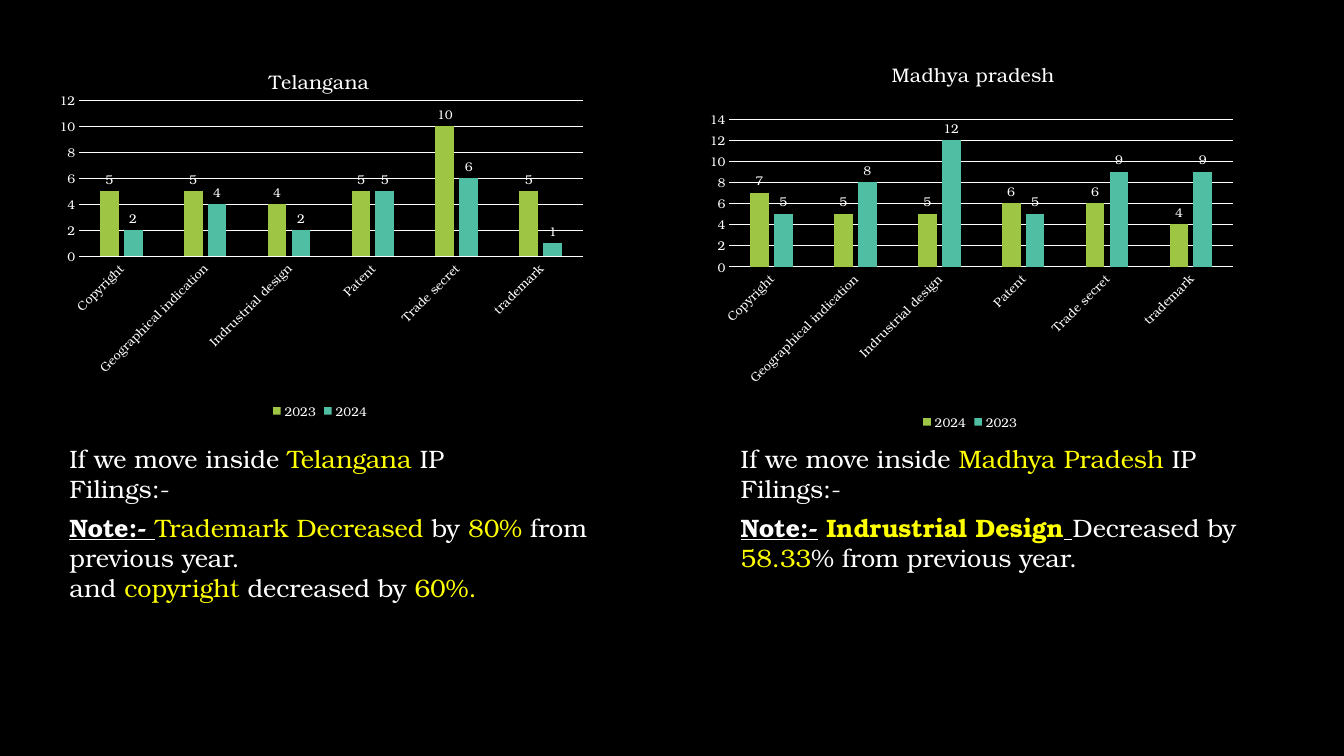
from pptx import Presentation
from pptx.chart.data import CategoryChartData
from pptx.dml.color import RGBColor
from pptx.enum.chart import XL_CHART_TYPE, XL_LABEL_POSITION, XL_LEGEND_POSITION, XL_TICK_MARK
from pptx.enum.text import MSO_AUTO_SIZE
from pptx.oxml import parse_xml
from pptx.oxml.ns import nsdecls
from pptx.util import Pt

FACE = "TeX Gyre Bonum"
HUES = {"back": "000000", "text": "FFFFFF", "key": "FFFF00",
        "first": "9EC544", "next": "50BEA3"}
KINDS = ["Copyright", "Geographical indication", "Indrustrial design",
         "Patent", "Trade secret", "trademark"]
LOOKS = {
    "plain": {},
    "key": {"hue": "key"},
    "note": {"bold": True, "underline": True},
    "bold": {"bold": True},
    "keybold": {"hue": "key", "bold": True},
}


def put(item, values):
    for name, value in values.items():
        setattr(item, name, value)


def tint(name):
    return RGBColor.from_string(HUES[name])


def style(font, size, hue="text", **more):
    put(font, {"name": FACE, "size": Pt(size), "bold": False, **more})
    font.color.rgb = tint(hue)


def paint(fill, hue):
    fill.solid()
    fill.fore_color.rgb = tint(hue)


def rule(line):
    line.width = Pt(0.75)
    line.color.rgb = tint("text")


def place(node, spot, inner=False):
    for old in node.findall(node.tag.split("}")[0] + "}layout"):
        node.remove(old)
    kind = '<c:layoutTarget val="inner"/>' if inner else ""
    modes = "".join(f'<c:{key}Mode val="edge"/>' for key in ("x", "y"))
    sizes = "".join(f'<c:{key} val="{val}"/>' for key, val in zip("xywh", spot))
    return parse_xml(f'<c:layout {nsdecls("c")}><c:manualLayout>{kind}{modes}{sizes}'
                     '</c:manualLayout></c:layout>')


def add_title(chart, text, spot):
    title = chart.chart_title
    title.include_in_layout = False
    run = title.text_frame.paragraphs[0].add_run()
    run.text = text
    style(run.font, 14)
    node = title._element
    layout = place(node, spot)
    node.find(node.tag.split("}")[0] + "}tx").addnext(layout)


def add_axes(chart, top):
    kinds, scale = chart.category_axis, chart.value_axis
    for axis in (kinds, scale):
        put(axis, {"major_tick_mark": XL_TICK_MARK.NONE,
                   "minor_tick_mark": XL_TICK_MARK.NONE})
        style(axis.tick_labels.font, 9)
    rule(kinds.format.line)
    kinds._element.txPr.bodyPr.set("rot", "-2700000")
    put(scale, {"minimum_scale": 0, "maximum_scale": top, "major_unit": 2,
                "has_major_gridlines": True})
    scale.format.line.fill.background()
    rule(scale.major_gridlines.format.line)


def add_bars(slide, box, title, spot, area, top, rows):
    data = CategoryChartData()
    data.categories = KINDS
    for name, values in rows:
        data.add_series(name, values)
    frame = slide.shapes.add_chart(XL_CHART_TYPE.COLUMN_CLUSTERED, *map(Pt, box), data)
    chart = frame.chart
    put(chart, {"has_title": True, "has_legend": True})
    style(chart.font, 10)
    add_title(chart, title, spot)
    add_axes(chart, top)
    put(chart.legend, {"position": XL_LEGEND_POSITION.BOTTOM, "include_in_layout": False})
    style(chart.legend.font, 9)
    plot = chart.plots[0]
    put(plot, {"gap_width": 219, "overlap": -27, "vary_by_categories": False})
    for bars, hue in zip(plot.series, ("first", "next")):
        paint(bars.format.fill, hue)
        tags = bars.data_labels
        put(tags, {"show_value": True, "position": XL_LABEL_POSITION.OUTSIDE_END})
        style(tags.font, 9)
    node = plot._element.getparent()
    node.insert(0, place(node, area, True))


def add_text(slide, box, lines):
    frame = slide.shapes.add_textbox(*map(Pt, box)).text_frame
    put(frame, {"word_wrap": True, "auto_size": MSO_AUTO_SIZE.SHAPE_TO_FIT_TEXT})
    for index, line in enumerate(lines):
        para = frame.add_paragraph() if index else frame.paragraphs[0]
        for text, look in line:
            run = para.add_run()
            run.text = text
            style(run.font, 18, **LOOKS[look])


def add_state(slide, left, width, name, notes):
    intro = [("If we move inside ", "plain"), (name, "key"), (" IP Filings:-", "plain")]
    add_text(slide, (left, 313.2, width, 51), [intro])
    add_text(slide, (left, 362.2, 437.8, 72.7), notes)


def main():
    deck = Presentation()
    put(deck, {"slide_width": Pt(960), "slide_height": Pt(540)})
    slide = deck.slides.add_slide(deck.slide_layouts[6])
    paint(slide.background.fill, "back")

    add_bars(slide, (33.1, 31, 391, 271.4), "Telangana", (0.4, 0.05),
             (0.06, 0.15, 0.92, 0.41), 12,
             [("2023", (5, 5, 4, 5, 10, 5)), ("2024", (2, 4, 2, 5, 6, 1))])
    add_bars(slide, (497.5, 25.2, 391, 285.1), "Madhya pradesh", (0.35, 0.05),
             (0.06, 0.21, 0.92, 0.37), 14,
             [("2024", (7, 5, 5, 6, 6, 4)), ("2023", (5, 8, 12, 5, 9, 9))])

    add_state(slide, 42.5, 342.7, "Telangana", [
        [("Note:- ", "note"), ("Trademark Decreased ", "key"), ("by ", "plain"),
         ("80%", "key"), (" from previous year.", "plain")],
        [("and ", "plain"), ("copyright", "key"), (" decreased by ", "plain"),
         ("60%.", "key")]])
    add_state(slide, 522, 403.9, "Madhya Pradesh", [
        [("Note:-", "note"), (" ", "bold"), ("Indrustrial Design", "keybold"),
         (" ", "note"), ("Decreased by ", "plain"), ("58.33", "key"),
         ("% from previous year.", "plain")]])
    deck.save("out.pptx")


if __name__ == "__main__":
    main()
